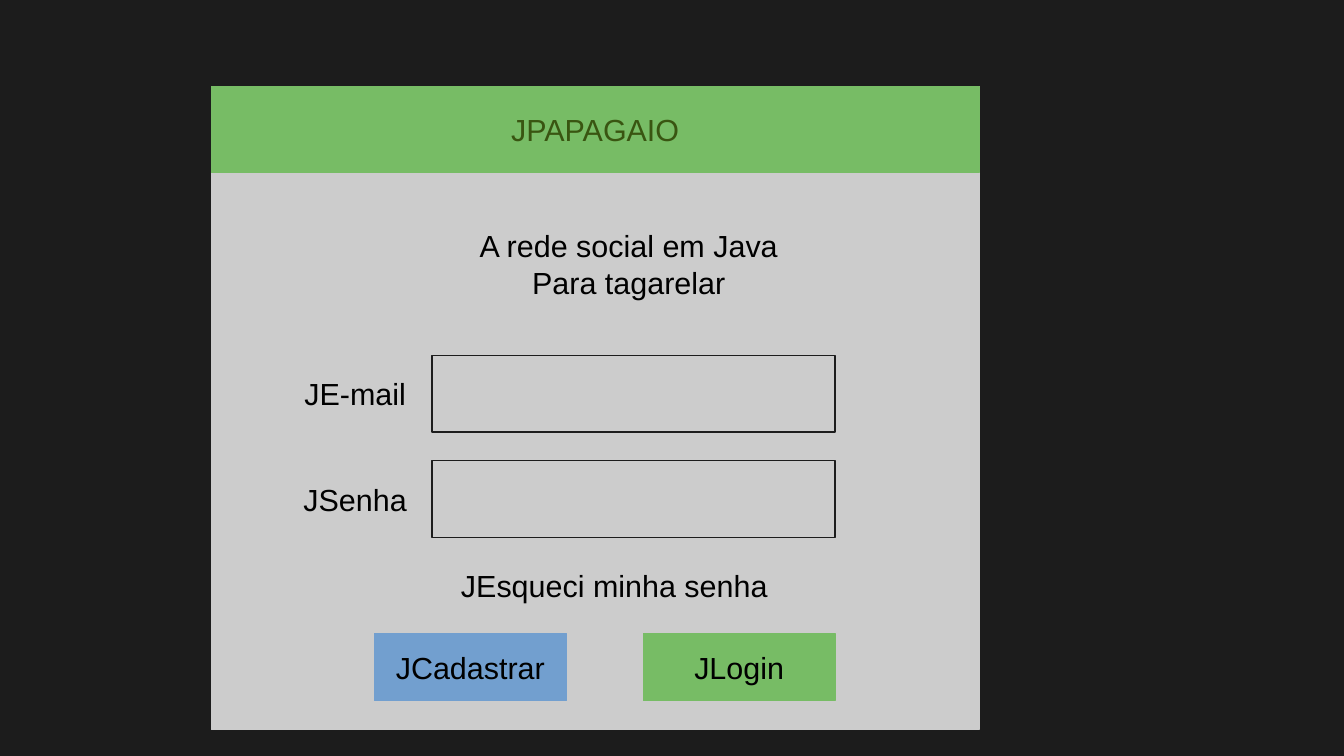
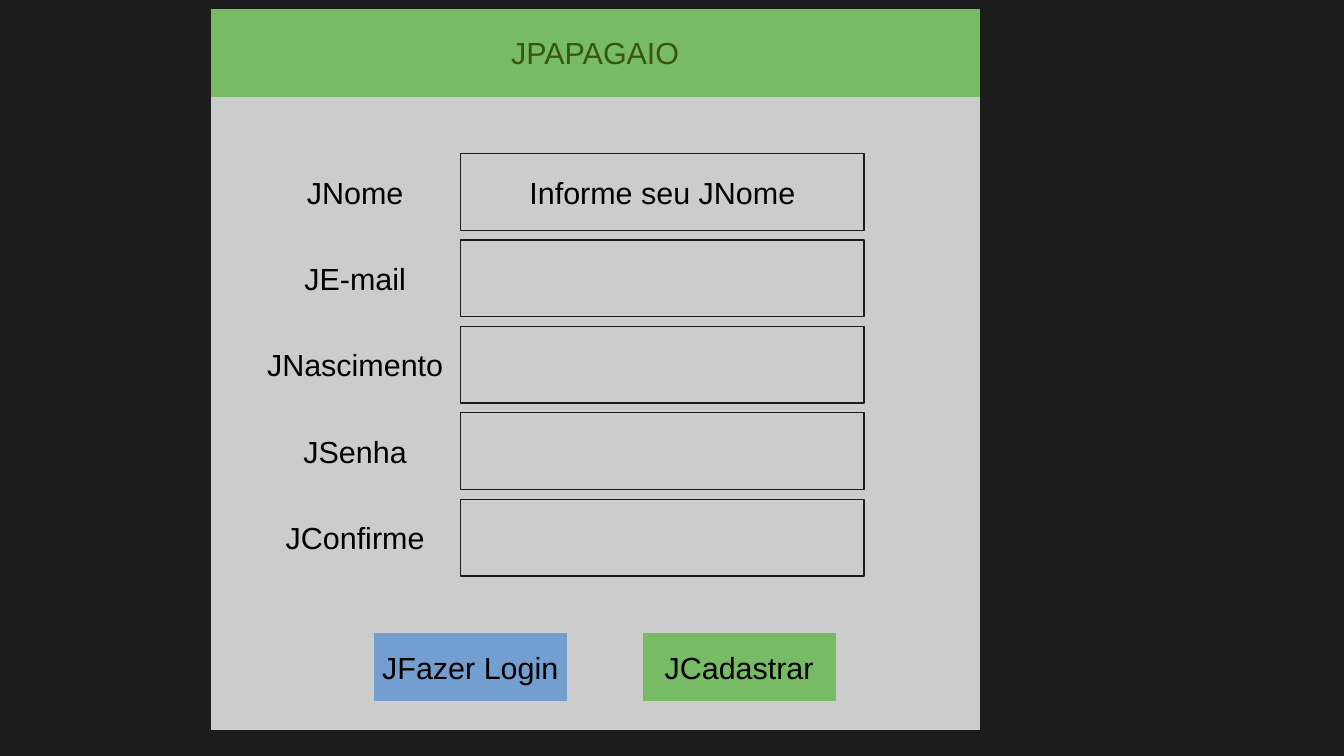
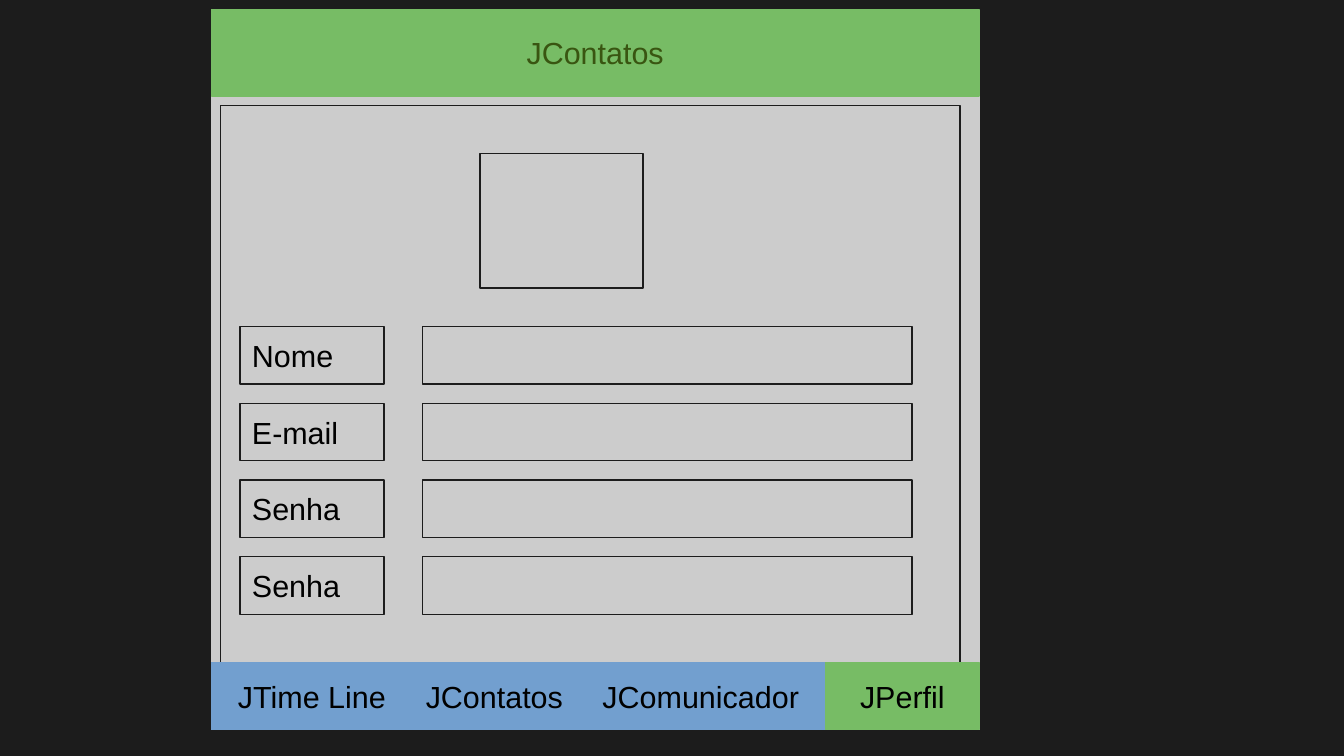
"""Builds three screen mock-ups of a small social network."""
from pptx import Presentation
from pptx.dml.color import RGBColor
from pptx.enum.shapes import MSO_SHAPE as SHAPE
from pptx.enum.text import MSO_ANCHOR as ANCHOR, PP_ALIGN as ALIGN
from pptx.util import Cm, Pt

DARK = RGBColor(0x1C, 0x1C, 0x1C)
GRAY = RGBColor(0xCC, 0xCC, 0xCC)
GREEN = RGBColor(0x77, 0xBC, 0x65)
BLUE = RGBColor(0x72, 0x9F, 0xCF)
OLIVE = RGBColor(0x39, 0x55, 0x11)
BLACK = RGBColor(0, 0, 0)

FONT = {"name": "Arial", "size": Pt(18)}
FRAME = {"word_wrap": False, "vertical_anchor": ANCHOR.MIDDLE,
         "margin_left": Cm(0.25), "margin_right": Cm(0.25),
         "margin_top": Cm(0.13), "margin_bottom": Cm(0.13)}
LEFT, WIDTH = 4.4, 16
FIELD_H = 1.6
BUTTON_Y, BUTTON_W, BUTTON_H = 13.2, 4, 1.4


def apply(target, values):
    for name, value in values.items():
        setattr(target, name, value)


class Screens:
    def __init__(self):
        self.prs = Presentation()
        apply(self.prs, {"slide_width": Cm(28), "slide_height": Cm(15.75)})
        self.s = None

    def screen(self, title, header_y):
        self.s = self.prs.slides.add_slide(self.prs.slide_layouts[6])
        fill = self.s.background.fill
        fill.solid()
        fill.fore_color.rgb = DARK
        self.box(LEFT, 1.8, WIDTH, 13.4)
        self.box(LEFT, header_y, WIDTH, 1.8, title, GREEN, color=OLIVE)

    def box(self, x, y, w, h, text="", fill=GRAY, line=None, color=BLACK,
            align=ALIGN.CENTER):
        sp = self.s.shapes.add_shape(SHAPE.RECTANGLE, Cm(x), Cm(y), Cm(w), Cm(h))
        sp.shadow.inherit = False
        sp.fill.solid()
        sp.fill.fore_color.rgb = fill
        sp.line.color.rgb = line or fill
        sp.line.width = Pt(0)
        if text:
            self.label(sp.text_frame, text, color, align)

    def label(self, tf, text, color, align):
        apply(tf, FRAME)
        tf.text = text
        for p in tf.paragraphs:
            p.alignment = align
            for r in p.runs:
                apply(r.font, FONT)
                r.font.color.rgb = color

    def outline(self, x, y, w, h, text="", align=ALIGN.CENTER):
        self.box(x, y, w, h, text, line=DARK, align=align)

    def form(self, rows, x, y, step):
        for i, (name, value) in enumerate(rows):
            self.box(6, y + i * step, 2.8, FIELD_H, name)
            self.outline(x, y + i * step, 8.4, FIELD_H, value)

    def profile(self, names, y, step):
        for i, name in enumerate(names):
            self.outline(5, y + i * step, 3, 1.2, name, ALIGN.LEFT)
            self.outline(8.8, y + i * step, 10.2, 1.2)

    def buttons(self, other, main_action):
        self.box(7.8, BUTTON_Y, BUTTON_W, BUTTON_H, other, BLUE)
        self.box(13.4, BUTTON_Y, BUTTON_W, BUTTON_H, main_action, GREEN)

    def tabs(self, tabs, active):
        x = LEFT
        for text, w in tabs:
            self.box(x, 13.8, w, BUTTON_H, text, GREEN if text == active else BLUE)
            x += w


def main():
    ui = Screens()

    ui.screen("JPAPAGAIO", 1.8)
    ui.box(8.2, 4.6, 9.8, 1.8, "A rede social em Java\nPara tagarelar")
    ui.form([("JE-mail", ""), ("JSenha", "")], 9, 7.4, 2.2)
    ui.box(9.4, 11.8, 6.8, 0.8, "JEsqueci minha senha")
    ui.buttons("JCadastrar", "JLogin")

    ui.screen("JPAPAGAIO", 0.2)
    ui.form([("JNome", "Informe seu JNome"), ("JE-mail", ""), ("JNascimento", ""),
             ("JSenha", ""), ("JConfirme", "")], 9.6, 3.2, 1.8)
    ui.buttons("JFazer Login", "JCadastrar")

    ui.screen("JContatos", 0.2)
    ui.outline(4.6, 2.2, 15.4, 12.6)
    ui.tabs([("JTime Line", 4.2), ("JContatos", 3.4), ("JComunicador", 5.2),
             ("JPerfil", 3.2)], "JPerfil")
    ui.outline(10, 3.2, 3.4, 2.8)
    ui.profile(["Nome", "E-mail", "Senha", "Senha"], 6.8, 1.6)

    ui.prs.save("out.pptx")


if __name__ == "__main__":
    main()
